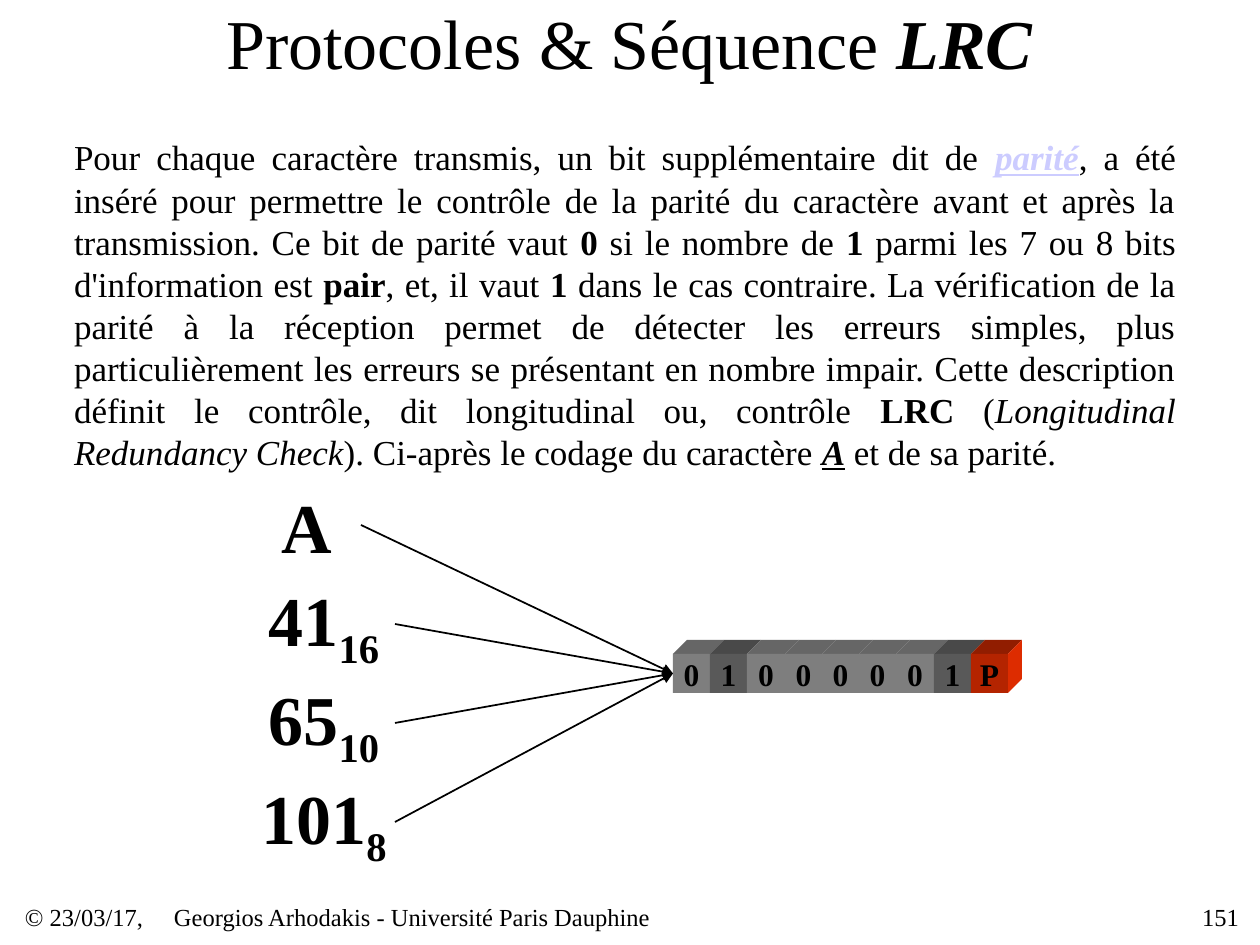
from lxml import etree
from pptx import Presentation
from pptx.dml.color import RGBColor
from pptx.enum.shapes import MSO_CONNECTOR, MSO_SHAPE
from pptx.enum.text import MSO_ANCHOR, PP_ALIGN as Align
from pptx.oxml.ns import qn
from pptx.util import Pt

PX = 914400 / 126
FONT = "Times New Roman"
BLACK = "000000"

# Runs are (text, style): b bold, i italic, u underlined, s subscript, k link colour
TITLE = [("Protocoles & Séquence ", ""), ("LRC", "bi")]
BODY = [
    ("Pour chaque caractère transmis, un bit supplémentaire dit de ", ""),
    ("parité", "biuk"),
    (", a été inséré pour permettre le contrôle de la parité du caractère avant "
     "et après la transmission. Ce bit de parité vaut ", ""),
    ("0", "b"), (" si le nombre de ", ""), ("1", "b"),
    (" parmi les 7 ou 8 bits d'information est ", ""), ("pair", "b"),
    (", et, il vaut ", ""), ("1", "b"),
    (" dans le cas contraire. La vérification de la parité à la réception permet de "
     "détecter les erreurs simples, plus particulièrement les erreurs se présentant en "
     "nombre impair. Cette description définit le contrôle, dit longitudinal ou, "
     "contrôle ", ""),
    ("LRC", "b"), (" (", ""), ("Longitudinal Redundancy Check", "i"),
    ("). Ci-après le codage du caractère ", ""), ("A", "biu"),
    (" et de sa parité.", ""),
]
CODES = [("A", "", 108), ("41", "16", 142), ("65", "10", 142), ("101", "8", 142)]
BITS = "01000001P"
CUBE_COLORS = {  # front, top
    "0": ("7E7E7E", "666666"),
    "1": ("595959", "494949"),
    "P": ("B42400", "911D00"),
}
PARITY_SIDE = "DD2C00"
FOOTER = [
    ("© 23/03/17,", 25, 149, Align.LEFT),
    ("Georgios Arhodakis - Université Paris Dauphine", 174, 743, Align.LEFT),
    ("151", 1115, 124, Align.RIGHT),
]

CODE_LEFT, CODE_TOP, CODE_STEP, CODE_HEIGHT = 253, 483, 99, 84
CUBES_LEFT, CUBES_WIDTH, CUBES_TOP, CUBE_HEIGHT = 673, 335, 654, 39
DEPTH = 14


def px(value):
    return round(value * PX)


def color(value):
    return RGBColor.from_string(value)


def write(shape, runs, size, align):
    frame = shape.text_frame
    frame.word_wrap = True
    frame.vertical_anchor = MSO_ANCHOR.MIDDLE
    frame.margin_left = frame.margin_right = frame.margin_top = frame.margin_bottom = 0
    paragraph = frame.paragraphs[0]
    paragraph.alignment = align
    for text, style in runs:
        run = paragraph.add_run()
        run.text = text
        font = run.font
        font.name, font.size = FONT, Pt(size)
        font.bold, font.italic, font.underline = (flag in style for flag in "biu")
        font.color.rgb = color("CCCCFF" if "k" in style else BLACK)
        if "s" in style:
            run._r.get_or_add_rPr().set("baseline", "-25000")


def add_text(slide, box, runs, size, align):
    write(slide.shapes.add_textbox(*map(px, box)), runs, size, align)


def paint(shape, fill):
    shape.shadow.inherit = False
    shape.fill.solid()
    shape.fill.fore_color.rgb = color(fill)
    shape.line.fill.background()


def add_face(slide, points, fill):
    builder = slide.shapes.build_freeform(*points[0], scale=PX)
    builder.add_line_segments(points[1:], close=True)
    paint(builder.convert_to_shape(), fill)


def add_cube(slide, left, right, bit):
    front, top_color = CUBE_COLORS[bit]
    top, bottom = CUBES_TOP, CUBES_TOP + CUBE_HEIGHT
    add_face(slide, [(left, top), (left + DEPTH, top - DEPTH),
                     (right + DEPTH, top - DEPTH), (right, top)], top_color)
    if bit == "P":
        add_face(slide, [(right, top), (right + DEPTH, top - DEPTH),
                         (right + DEPTH, bottom - DEPTH), (right, bottom)], PARITY_SIDE)
    box = (left, top, right - left, CUBE_HEIGHT)
    shape = slide.shapes.add_shape(MSO_SHAPE.RECTANGLE, *map(px, box))
    paint(shape, front)
    write(shape, [(bit, "b")], 18, Align.CENTER)


def add_arrow(slide, *ends):
    arrow = slide.shapes.add_connector(MSO_CONNECTOR.STRAIGHT, *map(px, ends))
    arrow.line.color.rgb = color(BLACK)
    arrow.line.width = Pt(1)
    etree.SubElement(arrow.line._get_or_add_ln(), qn("a:tailEnd"), type="triangle")
    etree.SubElement(arrow._element.spPr, qn("a:effectLst"))


def main():
    presentation = Presentation()
    presentation.slide_width, presentation.slide_height = px(1260), px(945)
    slide = presentation.slides.add_slide(presentation.slide_layouts[6])

    add_text(slide, (94, 0, 1071, 84), TITLE, 40, Align.CENTER)
    add_text(slide, (74, 136, 1102, 336), BODY, 20, Align.JUSTIFY)

    edges = [CUBES_LEFT + round(i * CUBES_WIDTH / len(BITS)) for i in range(len(BITS) + 1)]
    for left, right, bit in zip(edges, edges[1:], BITS):
        add_cube(slide, left, right, bit)

    for row, (value, base, width) in enumerate(CODES):
        top = CODE_TOP + row * CODE_STEP
        runs = [(value, "b")] + ([(base, "bs")] if base else [])
        add_text(slide, (CODE_LEFT, top, width, CODE_HEIGHT), runs, 40, Align.CENTER)
        add_arrow(slide, CODE_LEFT + width, top + CODE_HEIGHT / 2,
                  CUBES_LEFT, CUBES_TOP + CUBE_HEIGHT / 2)

    for text, left, width, align in FOOTER:
        add_text(slide, (left, 902, width, 30), [(text, "")], 14, align)

    presentation.save("out.pptx")


if __name__ == "__main__":
    main()
